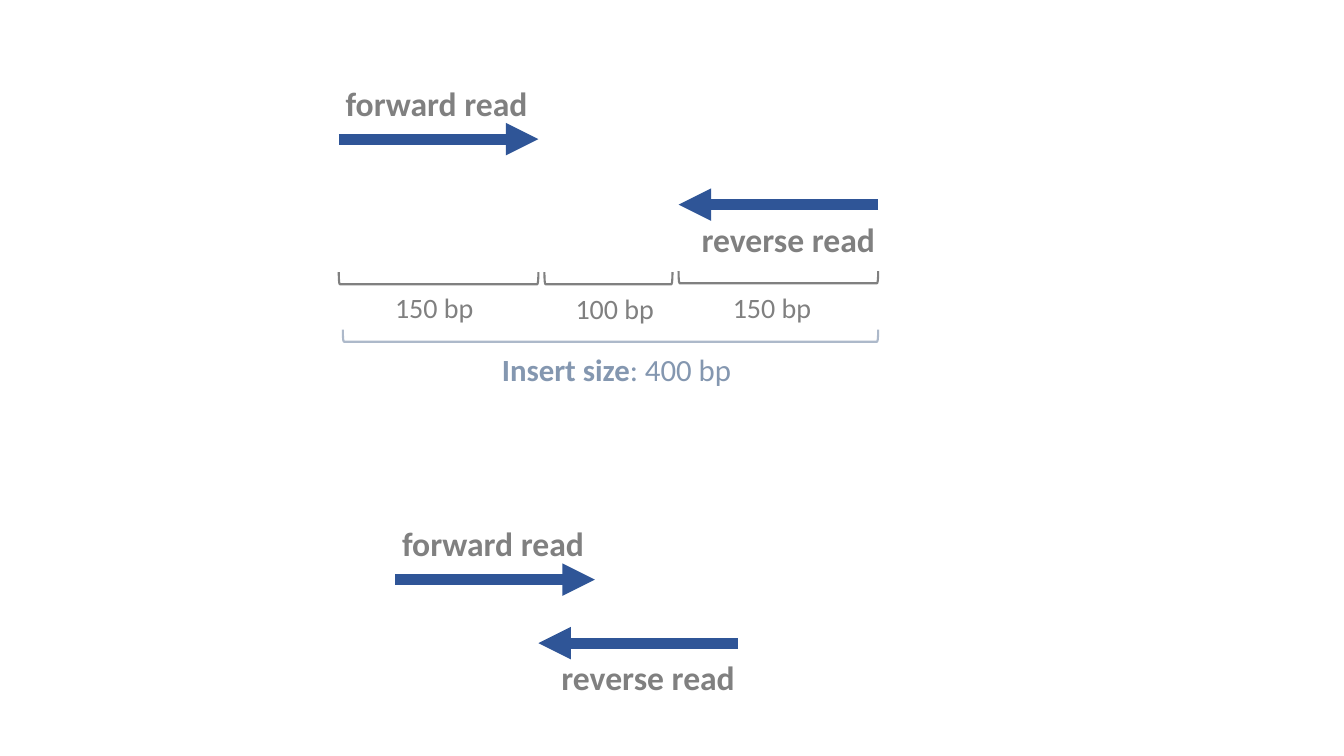
"""Builds a slide on paired-end reads and insert size."""
from pptx import Presentation
from pptx.dml.color import RGBColor
from pptx.enum.shapes import MSO_CONNECTOR, MSO_SHAPE
from pptx.enum.text import MSO_AUTO_SIZE
from pptx.oxml.ns import qn
from pptx.util import Inches, Pt
from lxml.etree import SubElement

COLORS = {"read": "2F5597", "grey": "808080", "insert": "8497B0", "bracket": "ADB9CA"}
FONT = "Calibri"
READ_LEN = 1.98
BRACKET_DEPTH = 0.12

# forward start x, forward y, reverse tip x, reverse y
READ_PAIRS = [(3.92, 5.75, 5.34, 6.38), (3.36, 1.38, 6.73, 2.03)]
# left x, centre y, length, colour
BRACKETS = [
    (3.36, 2.76, 1.98, "grey"),
    (6.73, 2.75, 1.98, "grey"),
    (5.4, 2.76, 1.27, "grey"),
    (3.4, 3.33, 5.31, "bracket"),
]
# text, left, top
LENGTHS = [("150 bp", 3.82, 2.83), ("100 bp", 5.61, 2.84), ("150 bp", 7.17, 2.83)]
INSERT_SIZE = [("Insert size", True), (": 400 bp", False)]


def add_label(s, runs, x, y, w, h, size, color):
    tf = s.shapes.add_textbox(Inches(x), Inches(y), Inches(w), Inches(h)).text_frame
    tf.word_wrap = True
    tf.auto_size = MSO_AUTO_SIZE.SHAPE_TO_FIT_TEXT
    p = tf.paragraphs[0]
    p.font.name = FONT
    p.font.size = Pt(size)
    p.font.color.rgb = RGBColor.from_string(COLORS[color])
    for text, bold in runs:
        r = p.add_run()
        r.text = text
        r.font.bold = bold


def add_read(s, x1, x2, y):
    c = s.shapes.add_connector(
        MSO_CONNECTOR.STRAIGHT, Inches(x1), Inches(y), Inches(x2), Inches(y))
    c.line.color.rgb = RGBColor.from_string(COLORS["read"])
    c.line.width = Pt(7.75)
    SubElement(c.line._get_or_add_ln(), qn("a:tailEnd"), type="triangle")
    SubElement(c._element.spPr, qn("a:effectLst"))


def add_bracket(s, x, y, length, color):
    left = x + (length - BRACKET_DEPTH) / 2
    sp = s.shapes.add_shape(
        MSO_SHAPE.LEFT_BRACKET, Inches(left), Inches(y - length / 2),
        Inches(BRACKET_DEPTH), Inches(length))
    sp.rotation = 270
    sp.shadow.inherit = False
    sp.fill.background()
    sp.line.color.rgb = RGBColor.from_string(COLORS[color])
    sp.line.width = Pt(1.5)


def main():
    prs = Presentation()
    prs.slide_width, prs.slide_height = Inches(13.33), Inches(7.5)
    s = prs.slides.add_slide(prs.slide_layouts[6])
    for fx, fy, rx, ry in READ_PAIRS:
        add_read(s, fx, fx + READ_LEN, fy)
        add_label(s, [("forward read", True)], fx - 0.03, fy - 0.61, 2.17, 0.5, 24, "grey")
        add_read(s, rx + READ_LEN, rx, ry)
        add_label(s, [("reverse read", True)], rx + 0.13, ry + 0.09, 1.97, 0.5, 24, "grey")
    for bracket in BRACKETS:
        add_bracket(s, *bracket)
    for text, x, y in LENGTHS:
        add_label(s, [(text, False)], x, y, 1.36, 0.44, 20, "grey")
    add_label(s, INSERT_SIZE, 4.88, 3.43, 2.66, 0.47, 22, "insert")
    prs.save("out.pptx")


if __name__ == "__main__":
    main()
